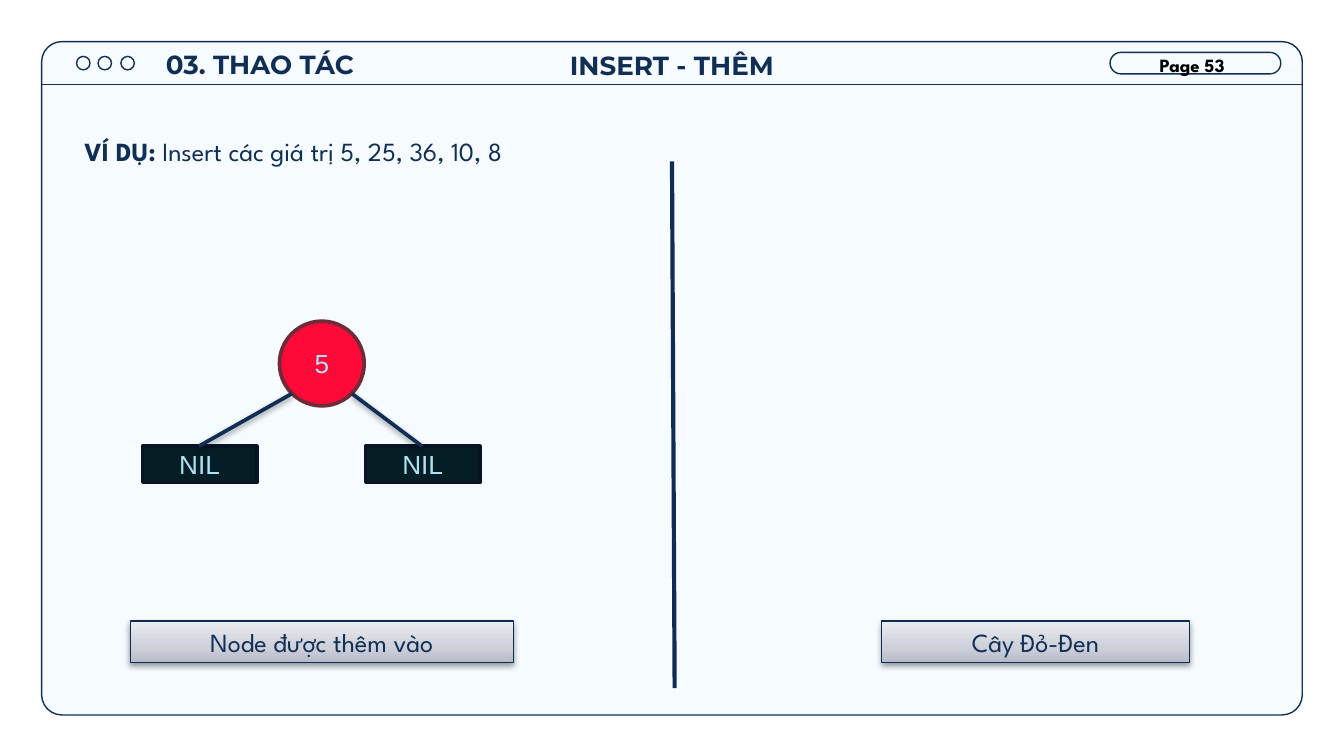
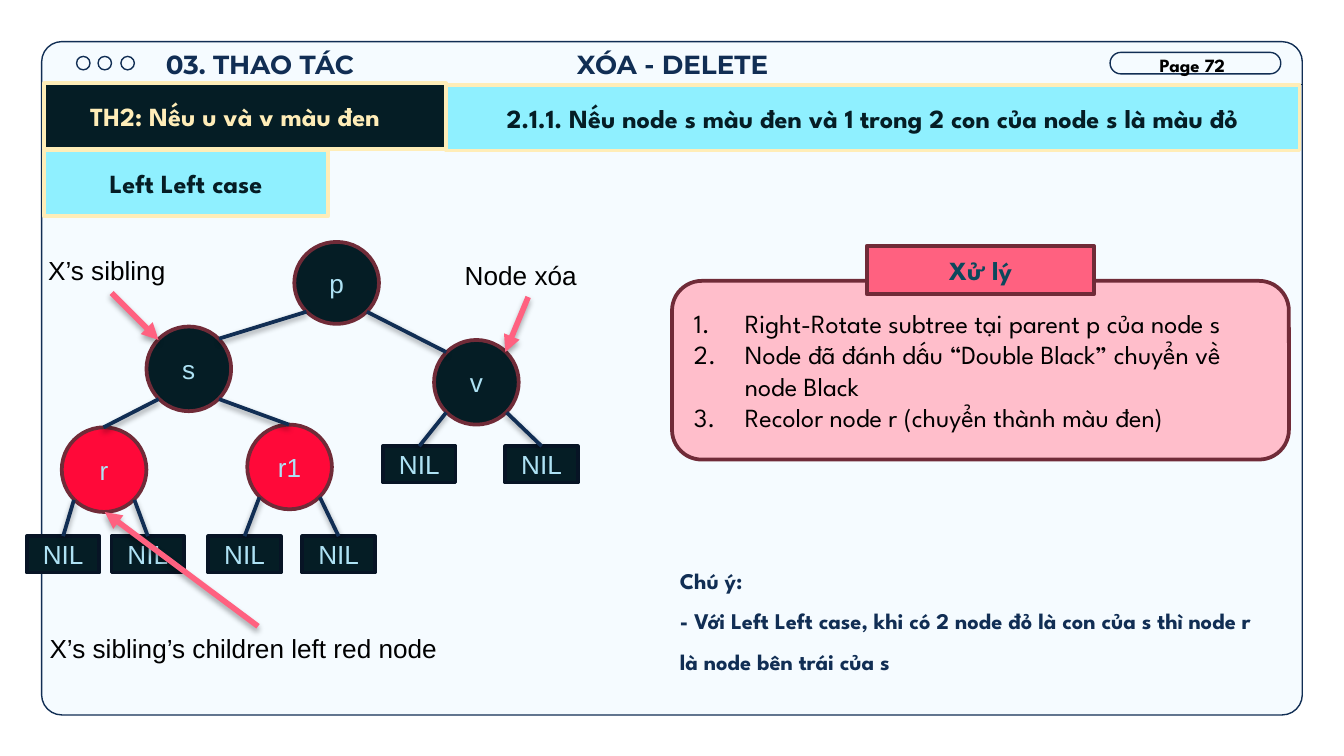
from dataclasses import dataclass

from lxml.etree import SubElement
from pptx import Presentation
from pptx.dml.color import RGBColor
from pptx.enum.shapes import MSO_CONNECTOR, MSO_SHAPE as SHAPE
from pptx.enum.text import MSO_ANCHOR as ANCHOR, MSO_AUTO_SIZE as AUTO, PP_ALIGN as ALIGN
from pptx.oxml import parse_xml
from pptx.oxml.ns import nsdecls, qn
from pptx.util import Emu, Pt

SCALE = 9144  # EMU per px, 100 px to the inch


@dataclass(frozen=True)
class Theme:
    navy: str = "112E54"
    divider: str = "0F2D54"
    panel: str = "F5FBFF"
    black: str = "000000"
    node_black: str = "051D25"
    node_red: str = "FF0939"
    node_text: str = "AEE2F4"
    nil_line: str = "071425"
    wine: str = "702B38"
    cream: str = "FFEDB8"
    cyan: str = "8FF0FF"
    pink: str = "FF6180"
    pale_pink: str = "FFBECB"
    teal: str = "0C485C"
    button: tuple = ((0, "B7BBC9"), (35, "CDCFD9"), (100, "ECEDF1"))
    head_font: str = "Montserrat"
    body_font: str = "League Spartan"
    label_font: str = "Arial"
    size: int = 14
    note_size: int = 12
    page_size: int = 10


T = Theme()


def px(n):
    return Emu(n * SCALE)


def rgb(color):
    return RGBColor.from_string(color)


# --- Basic elements ---

def add_shadow(effects, alpha=38, dist=20000):
    effects.append(parse_xml(
        f'<a:outerShdw {nsdecls("a")} blurRad="40000" dist="{dist}" dir="5400000" rotWithShape="0">'
        f'<a:srgbClr val="000000"><a:alpha val="{alpha * 1000}"/></a:srgbClr></a:outerShdw>'))


def add_box(slide, rect, fill, line, width=2, kind=SHAPE.RECTANGLE, adj=None):
    sp = slide.shapes.add_shape(kind, *map(px, rect))
    sp.shadow.inherit = False
    if adj is not None:
        sp.adjustments[0] = adj
    if fill:
        sp.fill.solid()
        sp.fill.fore_color.rgb = rgb(fill)
    else:
        sp.fill.background()
    sp.line.color.rgb = rgb(line)
    sp.line.width = Pt(width)
    return sp


def add_line(slide, start, end, color=T.navy, width=2):
    cn = slide.shapes.add_connector(MSO_CONNECTOR.STRAIGHT, *map(px, (*start, *end)))
    cn.line.color.rgb = rgb(color)
    cn.line.width = Pt(width)
    return cn, SubElement(cn._element.spPr, qn("a:effectLst"))


def style_run(r, color, font, size, bold):
    r.font.name = font
    r.font.size = Pt(size)
    r.font.bold = bold
    r.font.color.rgb = rgb(color)


def write(sp, text, color, font=T.body_font, size=T.size, bold=False,
          align=ALIGN.CENTER, spacing=None):
    tf = sp.text_frame
    tf.word_wrap = True
    tf.text = text
    for p in tf.paragraphs:
        p.alignment = align
        if spacing:
            p.line_spacing = spacing
        for r in p.runs:
            style_run(r, color, font, size, bold)
    return tf


def add_text(slide, rect, text, color, padded=True, **style):
    tb = slide.shapes.add_textbox(*map(px, rect))
    tf = write(tb, text, color, **style)
    tf.vertical_anchor = ANCHOR.TOP
    if padded:
        tf.margin_top = tf.margin_bottom = px(10)
    else:
        tf.auto_size = AUTO.SHAPE_TO_FIT_TEXT
    return tf


# --- Slide frame ---

def add_frame(prs, title, title_rect, page):
    slide = prs.slides.add_slide(prs.slide_layouts[6])
    add_box(slide, (31, 31, 938, 501), T.panel, T.navy, 0.75, SHAPE.ROUNDED_RECTANGLE, 0.03)
    for i in range(3):
        add_box(slide, (57 + i * 33 // 2, 42, 10, 10), None, T.navy, 0.75, SHAPE.OVAL)
    add_box(slide, (826, 39, 127, 16), None, T.navy, 0.75, SHAPE.ROUNDED_RECTANGLE, 0.5)
    add_line(slide, (31, 63), (969, 63), width=0.75)
    for rect, text in (((107, 26, 173, 46), "03. THAO TÁC"), (title_rect, title)):
        add_text(slide, rect, text, T.navy, font=T.head_font, bold=True)
    add_text(slide, (853, 35, 75, 27), f"Page {page}", T.black, padded=False,
             size=T.page_size, bold=True, align=ALIGN.LEFT)
    return slide


# --- Tree parts ---

def add_node(slide, x, y, text, fill, height=63):
    sp = add_box(slide, (x, y, 63, height), fill, T.wine, kind=SHAPE.FLOWCHART_CONNECTOR)
    write(sp, text, T.node_text, T.label_font)
    return x, y, 63, height


def add_nil(slide, x, y, width=54):
    sp = add_box(slide, (x, y, width, 27), T.node_black, T.nil_line)
    write(sp, "NIL", T.node_text, T.label_font)
    return x, y, width, 27


def rim(node, side, down):
    """Point on a node's circle at 45 degrees."""
    x, y, w, h = node
    return round(x + w / 2 + side * w * 0.35), round(y + h / 2 + down * h * 0.35)


def add_edge(slide, parent, child, side, to_rim=False):
    x, y, w, _ = child
    end = rim(child, -side, -1) if to_rim else (x + w // 2, y)
    _, effects = add_line(slide, rim(parent, side, 1), end)
    add_shadow(effects)


def add_nils(slide, parent, xs, y, width=54):
    for side, x in zip((-1, 1), xs):
        add_edge(slide, parent, add_nil(slide, x, y, width), side)


# --- Labels and callouts ---

def add_pointer(slide, start, end):
    cn, effects = add_line(slide, start, end, T.pink, 3)
    SubElement(cn.line._get_or_add_ln(), qn("a:tailEnd"), type="triangle")
    add_shadow(effects, 35, 23000)


def add_button(slide, rect, text):
    sp = add_box(slide, rect, None, T.divider, 0.75)
    stops = "".join(f'<a:gs pos="{pos * 1000}"><a:srgbClr val="{color}"/></a:gs>'
                    for pos, color in T.button)
    spPr = sp._element.spPr
    spPr.replace(spPr.find(qn("a:noFill")), parse_xml(
        f'<a:gradFill {nsdecls("a")} rotWithShape="1"><a:gsLst>{stops}</a:gsLst>'
        '<a:lin ang="16200000" scaled="0"/></a:gradFill>'))
    add_shadow(spPr.find(qn("a:effectLst")))
    write(sp, text, T.navy)


def add_band(slide, rect, text, fill=T.cyan, color=T.node_black):
    return write(add_box(slide, rect, fill, T.cream), text, color, bold=True)


def add_steps(slide, rect, steps):
    sp = add_box(slide, rect, T.pale_pink, T.wine, kind=SHAPE.ROUNDED_RECTANGLE)
    tf = write(sp, "\n".join(steps), T.black, align=ALIGN.LEFT)
    for p in tf.paragraphs:
        pPr = p._p.get_or_add_pPr()
        pPr.set("marL", str(px(38)))
        pPr.set("indent", str(-px(38)))
        SubElement(SubElement(pPr, qn("a:buClr")), qn("a:srgbClr"), val=T.black)
        SubElement(pPr, qn("a:buAutoNum"), type="arabicPeriod")


# --- Slides ---

def build_insert(prs):
    slide = add_frame(prs, "INSERT - THÊM", (305, 27, 390, 38), 53)
    # Example line
    tf = add_text(slide, (53, 79, 906, 54), "VÍ DỤ:", T.navy, bold=True,
                  align=ALIGN.LEFT, spacing=1.5)
    r = tf.paragraphs[0].add_run()
    r.text = " Insert các giá trị 5, 25, 36, 10, 8"
    style_run(r, T.navy, T.body_font, T.size, False)
    # Single-node tree
    root = add_node(slide, 208, 239, "5", T.node_red)
    add_nils(slide, root, (106, 272), 332, 85)
    # Two halves
    add_line(slide, (500, 120), (502, 512), T.divider, 2.25)
    add_button(slide, (656, 462, 229, 31), "Cây Đỏ-Đen")
    add_button(slide, (97, 462, 285, 31), "Node được thêm vào")


def build_delete(prs):
    slide = add_frame(prs, "XÓA - DELETE", (79, 26, 843, 39), 72)
    # Case bands
    tf = add_band(slide, (33, 62, 299, 49), "TH2: Nếu u và v màu đen", T.node_black, T.cream)
    tf.margin_right = px(25)
    add_band(slide, (332, 63, 635, 49),
             "2.1.1. Nếu node s màu đen và 1 trong 2 con của node s là màu đỏ")
    add_band(slide, (33, 112, 211, 49), "Left Left case")
    # Tree
    p = add_node(slide, 219, 180, "p", T.node_black, 61)
    s = add_node(slide, 109, 243, "s", T.node_black)
    v = add_node(slide, 323, 253, "v", T.node_black)
    r = add_node(slide, 46, 318, "r", T.node_red)
    r1 = add_node(slide, 184, 316, "r1", T.node_red)
    add_edge(slide, p, s, -1, to_rim=True)
    add_edge(slide, p, v, 1, to_rim=True)
    add_edge(slide, s, r, -1)
    add_edge(slide, s, r1, 1)
    for parent, xs, y in ((r, (20, 83), 399), (r1, (155, 225), 399), (v, (285, 376), 332)):
        add_nils(slide, parent, xs, y)
    # Pointers and their labels
    for rect, text, start, end in (
            ((336, 188, 114, 34), "Node xóa", (393, 221), (376, 262)),
            ((26, 184, 114, 34), "X’s sibling", (83, 218), (118, 253)),
            ((27, 466, 329, 34), "X’s sibling’s children left red node", (192, 466), (78, 381))):
        add_pointer(slide, start, end)
        add_text(slide, rect, text, T.black, padded=False, font=T.label_font, align=ALIGN.LEFT)
    # Handling steps
    add_steps(slide, (500, 209, 459, 133), (
        "Right-Rotate subtree tại parent p của node s",
        "Node đã đánh dấu “Double Black” chuyển về node Black",
        "Recolor node r (chuyển thành màu đen)"))
    write(add_box(slide, (645, 183, 169, 36), T.pink, T.wine), "Xử lý", T.teal, bold=True)
    # Note
    add_text(slide, (496, 402, 463, 107),
             "Chú ý:\n- Với Left Left case, khi có 2 node đỏ là con của s thì node r "
             "là node bên trái của s",
             T.navy, size=T.note_size, bold=True, align=ALIGN.LEFT, spacing=1.5)


def main():
    prs = Presentation()
    prs.slide_width = px(1000)
    prs.slide_height = prs.slide_width * 9 // 16
    build_insert(prs)
    build_delete(prs)
    prs.save("out.pptx")


if __name__ == "__main__":
    main()
